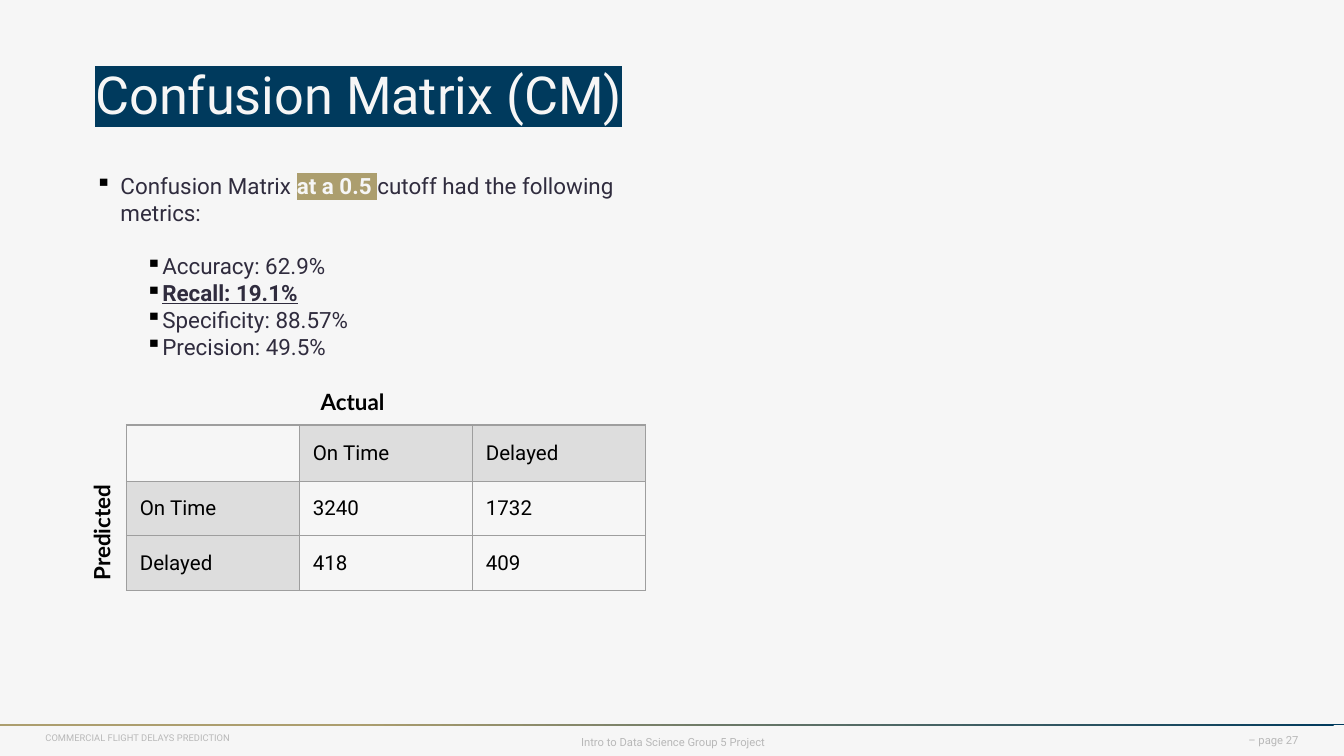
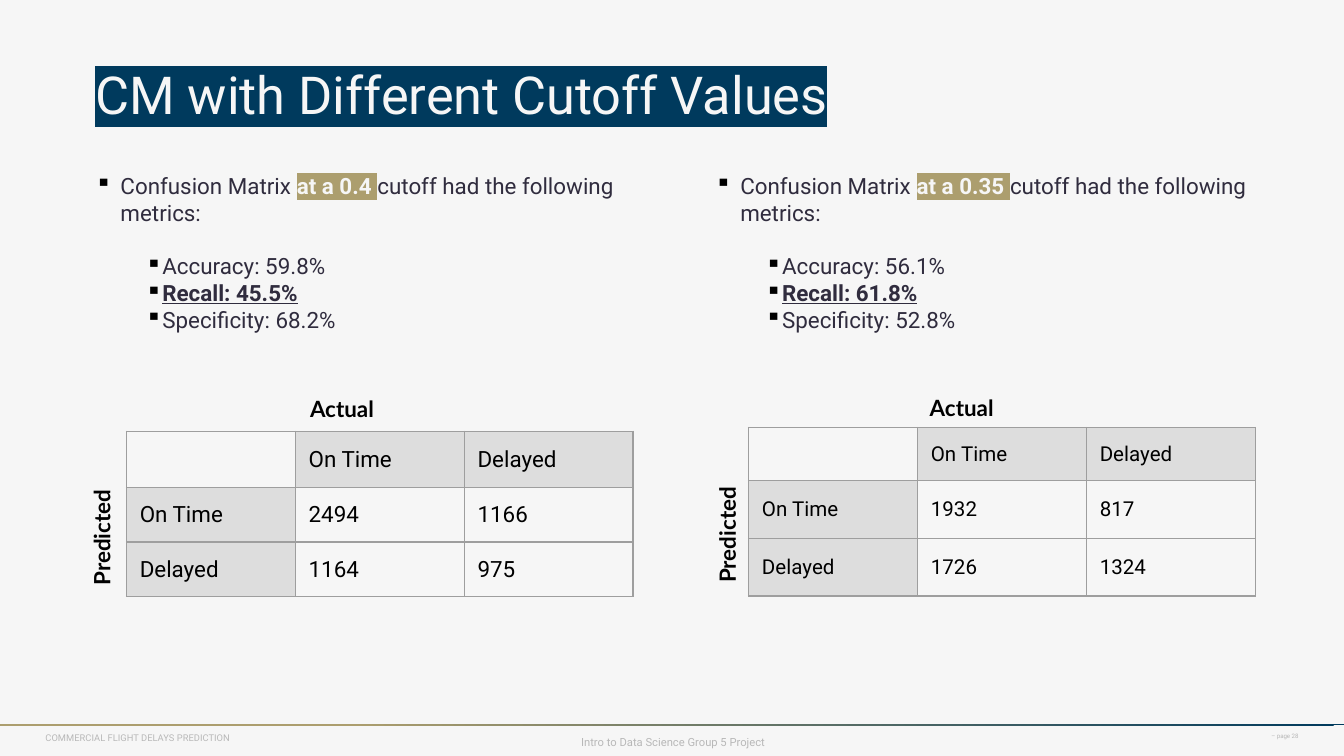
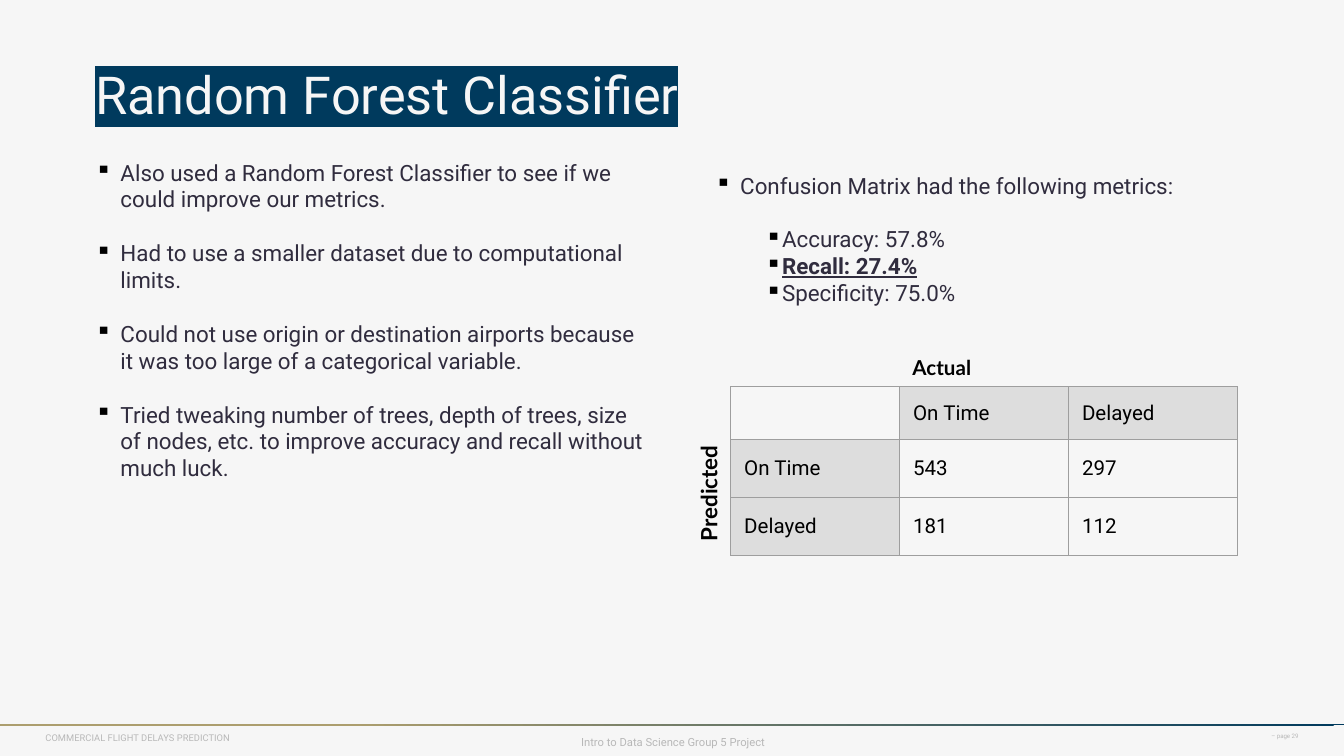
from lxml import etree
from pptx import Presentation
from pptx.dml.color import RGBColor
from pptx.enum.shapes import MSO_SHAPE
from pptx.enum.text import MSO_ANCHOR, PP_ALIGN
from pptx.oxml.ns import qn
from pptx.util import Pt

PAPER = RGBColor(0xF6, 0xF6, 0xF6)
NAVY = RGBColor(0x00, 0x3A, 0x5D)
GOLD = RGBColor(0xAC, 0x9E, 0x6E)
INK = RGBColor(0x30, 0x2C, 0x3E)
BLACK = RGBColor(0x00, 0x00, 0x00)
FOOTER_GREY = RGBColor(0xB8, 0xB8, 0xB8)
HEADER_GREY = RGBColor(0xDD, 0xDD, 0xDD)
BORDER_GREY = RGBColor(0x9E, 0x9E, 0x9E)

LEFT, CENTER, RIGHT = PP_ALIGN.LEFT, PP_ALIGN.CENTER, PP_ALIGN.RIGHT
MIDDLE = MSO_ANCHOR.MIDDLE
RECTANGLE = MSO_SHAPE.RECTANGLE

BULLET_INDENT = Pt(13.5)
PARAGRAPH_GAP = Pt(14.4)
PREDICTED_WIDTH, LABEL_HEIGHT = 90, 21.5

# Bullet boxes: left, top, width, height, then (level, text) items.
# The middle part of a text split by bars is highlighted.
# Matrices: left, top, column width, row heights, text size, counts,
# then left, top and size of "Actual", and centre of "Predicted".
SLIDES = [
    dict(
        title="Confusion Matrix (CM)", title_width=309,
        page=27, page_size=6, page_height=14.5, page_spacing=0.85,
        bullets=[
            (44, 88.5, 333, 109, [
                (0, "Confusion Matrix |at a 0.5 |cutoff had the following metrics:"),
                (1, "Accuracy: 62.9%"),
                (1, "Recall: 19.1%"),
                (1, "Specificity: 88.57%"),
                (1, "Precision: 49.5%"),
            ]),
        ],
        matrices=[
            (67.7, 227.7, 92.7, (30.2, 29.2, 29.2), 11, ((3240, 1732), (418, 409)),
             (164.7, 204.5, 12), (54.4, 273)),
        ],
    ),
    dict(
        title="CM with Different Cutoff Values", title_width=431,
        page=28, page_size=3.3, page_height=10, page_spacing=0.65,
        bullets=[
            (44, 88.5, 308, 109, [
                (0, "Confusion Matrix |at a 0.4 |cutoff had the following metrics:"),
                (1, "Accuracy: 59.8%"),
                (1, "Recall: 45.5%"),
                (1, "Specificity: 68.2%"),
            ]),
            (376, 88.5, 300, 109, [
                (0, "Confusion Matrix |at a 0.35 |cutoff had the following metrics:"),
                (1, "Accuracy: 56.1%"),
                (1, "Recall: 61.8%"),
                (1, "Specificity: 52.8%"),
            ]),
        ],
        matrices=[
            (67.7, 231, 90.5, (30.2, 29.2, 29.2), 12, ((2494, 1166), (1164, 975)),
             (159, 208, 12), (54.4, 275.7)),
            (401, 229, 90.5, (28.4, 31, 31), 11, ((1932, 817), (1726, 1324)),
             (491, 207.5, 12), (389.5, 274.3)),
        ],
    ),
    dict(
        title="Random Forest Classifier", title_width=619,
        page=29, page_size=3.3, page_height=10, page_spacing=0.65,
        bullets=[
            (44, 81.5, 308, 181, [
                (0, "Also used a Random Forest Classifier to see if we could "
                    "improve our metrics."),
                (0, "Had to use a smaller dataset due to computational limits."),
                (0, "Could not use origin or destination airports because it was "
                    "too large of a categorical variable."),
                (0, "Tried tweaking number of trees, depth of trees, size of nodes, "
                    "etc. to improve accuracy and recall without much luck."),
            ]),
            (376, 88.5, 274, 80, [
                (0, "Confusion Matrix had the following metrics:"),
                (1, "Accuracy: 57.8%"),
                (1, "Recall: 27.4%"),
                (1, "Specificity: 75.0%"),
            ]),
        ],
        matrices=[
            (391.5, 207.2, 90.5, (28.4, 31, 31), 11, ((543, 297), (181, 112)),
             (481.7, 186.5, 11), (379.5, 252)),
        ],
    ),
]


def add_box(slide, left, top, width, height):
    box = slide.shapes.add_textbox(Pt(left), Pt(top), Pt(width), Pt(height))
    box.text_frame.word_wrap = True
    return box


def add_span(para, text, size, color, font="Roboto", bold=False, highlight=None):
    span = para.add_run()
    span.text = text
    span.font.size = Pt(size)
    span.font.bold = bold
    span.font.color.rgb = color
    if highlight is not None:
        mark = etree.SubElement(span.font._element, qn("a:highlight"))
        etree.SubElement(mark, qn("a:srgbClr"), val=str(highlight))
    span.font.name = font
    return span


deck = Presentation()
deck.slide_width, deck.slide_height = Pt(720), Pt(405)

for content in SLIDES:
    slide = deck.slides.add_slide(deck.slide_layouts[6])
    slide.background.fill.solid()
    slide.background.fill.fore_color.rgb = PAPER

    # Title
    box = add_box(slide, 44, 26, content["title_width"], 42.5)
    box.text_frame.margin_top = box.text_frame.margin_bottom = Pt(7.2)
    add_span(box.text_frame.paragraphs[0], content["title"], 28, PAPER, highlight=NAVY)

    # Footer rule and texts
    rule = slide.shapes.add_shape(RECTANGLE, 0, Pt(388), Pt(720), Pt(0.5))
    rule.shadow.inherit = False
    rule.line.fill.background()
    rule.fill.gradient()
    rule.fill.gradient_angle = 225
    for stop, color, position in zip(rule.fill.gradient_stops, (NAVY, GOLD), (0, 0.74)):
        stop.color.rgb = color
        stop.position = position

    footers = [
        (17.3, 388, 155, 16, "COMMERCIAL FLIGHT DELAYS PREDICTION", 5, LEFT, 0.85),
        (296, 390, 129, 16, "Intro to Data Science Group 5 Project", 6, CENTER, 0.85),
        (540, 390, 162.7, content["page_height"], f"– page {content['page']}",
         content["page_size"], RIGHT, content["page_spacing"]),
    ]
    for left, top, width, height, text, size, alignment, spacing in footers:
        box = add_box(slide, left, top, width, height)
        box.text_frame.vertical_anchor = MIDDLE
        para = box.text_frame.paragraphs[0]
        para.alignment = alignment
        para.line_spacing = spacing
        add_span(para, text, size, FOOTER_GREY)

    # Bullets
    for left, top, width, height, items in content["bullets"]:
        frame = add_box(slide, left, top, width, height).text_frame
        previous_level = None
        for level, text in items:
            if previous_level is None:
                para = frame.paragraphs[0]
            else:
                para = frame.add_paragraph()
                if level == 0 or previous_level == 0:
                    para.space_before = PARAGRAPH_GAP
            previous_level = level
            properties = para._p.get_or_add_pPr()
            properties.set("marL", str(BULLET_INDENT))
            properties.set("indent", str(BULLET_INDENT if level else -BULLET_INDENT))
            bullet_color = etree.SubElement(properties, qn("a:buClr"))
            etree.SubElement(bullet_color, qn("a:srgbClr"), val=str(BLACK))
            etree.SubElement(properties, qn("a:buChar"), char="▪")
            for index, part in enumerate(text.split("|")):
                if index == 1:
                    add_span(para, part, 12, PAPER, bold=True, highlight=GOLD)
                else:
                    is_recall = part.startswith("Recall")
                    span = add_span(para, part, 12, INK, bold=is_recall)
                    span.font.underline = is_recall

    # Confusion matrices
    for (left, top, column_width, row_heights, size, counts,
         (actual_left, actual_top, actual_size), (center_x, center_y)) in content["matrices"]:
        table = slide.shapes.add_table(
            3, 3, Pt(left), Pt(top), Pt(3 * column_width), Pt(sum(row_heights))).table
        table.first_row = table.horz_banding = False
        for column in table.columns:
            column.width = Pt(column_width)
        for row, height in zip(table.rows, row_heights):
            row.height = Pt(height)

        grid = [("", "On Time", "Delayed"),
                ("On Time", *counts[0]),
                ("Delayed", *counts[1])]
        for row_index, values in enumerate(grid):
            for column_index, value in enumerate(values):
                cell = table.cell(row_index, column_index)
                cell.vertical_anchor = MIDDLE
                cell.margin_top = cell.margin_bottom = 0
                if (row_index == 0) != (column_index == 0):
                    cell.fill.solid()
                    cell.fill.fore_color.rgb = HEADER_GREY
                else:
                    cell.fill.background()
                if value != "":
                    add_span(cell.text_frame.paragraphs[0], str(value), size, BLACK)
                properties = cell._tc.get_or_add_tcPr()
                for index, side in enumerate(("a:lnL", "a:lnR", "a:lnT", "a:lnB")):
                    border = etree.Element(qn(side), w=str(Pt(0.75)))
                    fill = etree.SubElement(border, qn("a:solidFill"))
                    etree.SubElement(fill, qn("a:srgbClr"), val=str(BORDER_GREY))
                    properties.insert(index, border)

        actual = add_box(slide, actual_left, actual_top, 181, LABEL_HEIGHT)
        add_span(actual.text_frame.paragraphs[0], "Actual", actual_size, BLACK, "Lato", True)
        predicted = add_box(slide, center_x - PREDICTED_WIDTH / 2,
                            center_y - LABEL_HEIGHT / 2, PREDICTED_WIDTH, LABEL_HEIGHT)
        predicted.rotation = 270
        add_span(predicted.text_frame.paragraphs[0], "Predicted", 12, BLACK, "Lato", True)

deck.save("out.pptx")
